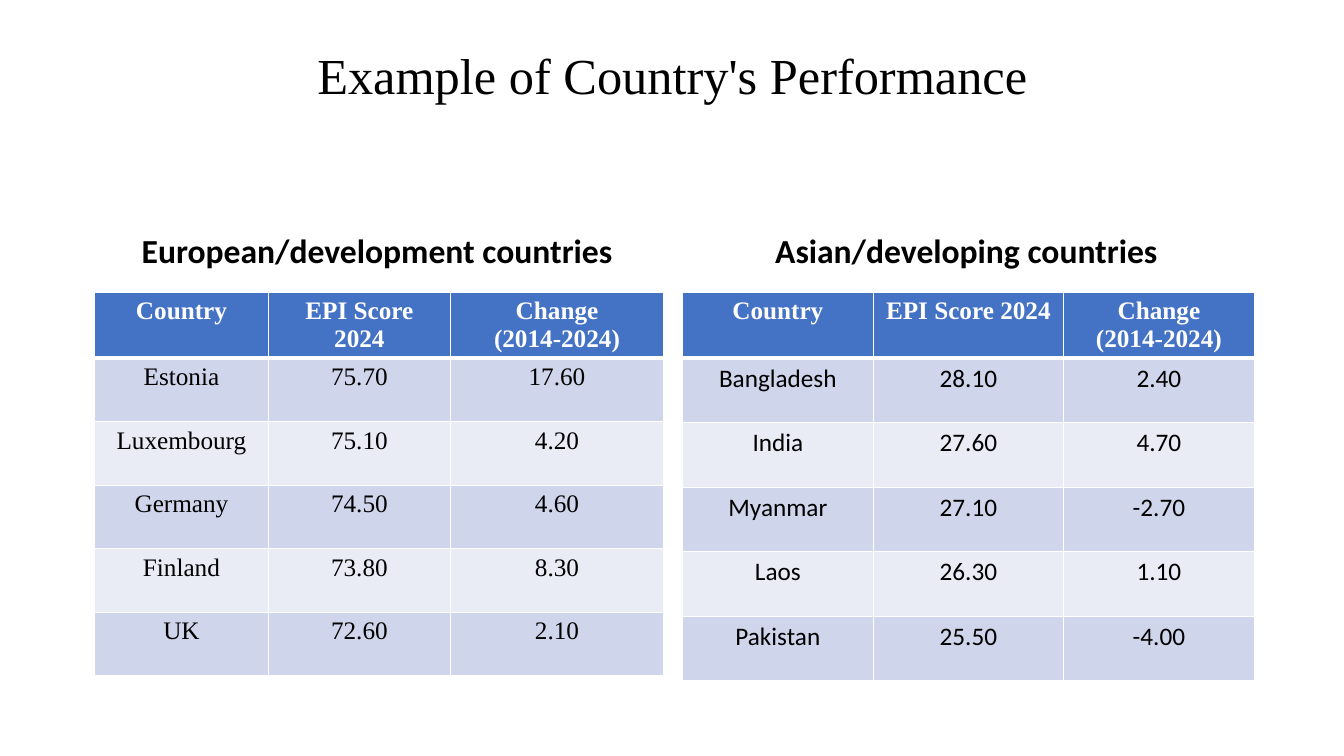
from lxml.etree import SubElement
from pptx import Presentation
from pptx.dml.color import RGBColor
from pptx.enum.text import MSO_ANCHOR, MSO_AUTO_SIZE, PP_ALIGN
from pptx.oxml.ns import qn
from pptx.util import Inches, Pt

BLACK = RGBColor(0x00, 0x00, 0x00)
WHITE = RGBColor(0xFF, 0xFF, 0xFF)
HEADER_BLUE = RGBColor(0x44, 0x72, 0xC4)
BAND_DARK = RGBColor(0xCF, 0xD5, 0xEA)
BAND_LIGHT = RGBColor(0xE9, 0xEB, 0xF5)

SERIF, SANS = "Times New Roman", "Calibri"
HEADERS = ["Country", "EPI Score 2024", "Change\n(2014-2024)"]

EUROPE = [
    ["Estonia", "75.70", "17.60"],
    ["Luxembourg", "75.10", "4.20"],
    ["Germany", "74.50", "4.60"],
    ["Finland", "73.80", "8.30"],
    ["UK", "72.60", "2.10"],
]
ASIA = [
    ["Bangladesh", "28.10", "2.40"],
    ["India", "27.60", "4.70"],
    ["Myanmar", "27.10", "-2.70"],
    ["Laos", "26.30", "1.10"],
    ["Pakistan", "25.50", "-4.00"],
]


class SlideBuilder:
    """Holds the text styles and the current slide."""

    title_font = {"name": SERIF, "size": Pt(36), "bold": False}
    heading_font = {"name": SANS, "size": Pt(24), "bold": True}
    header_font = {"name": SERIF, "size": Pt(18), "bold": True}

    def __init__(self, prs, layout):
        self.slide = prs.slides.add_slide(prs.slide_layouts[layout])
        self.holders = {sp.placeholder_format.idx: sp
                        for sp in self.slide.placeholders}

    def set_text(self, tf, text, font, color, spacing=1.0):
        tf.text = text
        for p in tf.paragraphs:
            p.alignment = PP_ALIGN.CENTER
            p.line_spacing = spacing
            p.space_before = Pt(0)
            for r in p.runs:
                for name, value in font.items():
                    setattr(r.font, name, value)
                r.font.color.rgb = color

    def placeholder(self, idx, text, box, font, anchor):
        sp = self.holders[idx]
        sp.left, sp.top, sp.width, sp.height = map(Inches, box)
        tf = sp.text_frame
        tf.word_wrap = True
        tf.auto_size = MSO_AUTO_SIZE.NONE
        tf.vertical_anchor = anchor
        self.set_text(tf, text, font, BLACK, 0.9)

    def borders(self, cell, top, bottom):
        tcPr = cell._tc.get_or_add_tcPr()
        for side, points in (("L", 1), ("R", 1), ("T", top), ("B", bottom)):
            ln = SubElement(tcPr, qn(f"a:ln{side}"), w=str(Pt(points)))
            fill = SubElement(ln, qn("a:solidFill"))
            SubElement(fill, qn("a:srgbClr"), val=str(WHITE))

    def table(self, left, top, widths, row_height, rows, body_name):
        rows = [HEADERS] + rows
        body_font = {"name": body_name, "size": Pt(18), "bold": False}
        table = self.slide.shapes.add_table(
            len(rows), len(widths), Inches(left), Inches(top),
            Inches(sum(widths)), Inches(row_height * len(rows))).table
        for column, width in zip(table.columns, widths):
            column.width = Inches(width)
        for i, values in enumerate(rows):
            table.rows[i].height = Inches(row_height)
            if i == 0:
                fill, font, color = HEADER_BLUE, self.header_font, WHITE
            else:
                fill = BAND_DARK if i % 2 else BAND_LIGHT
                font, color = body_font, BLACK
            for j, value in enumerate(values):
                cell = table.cell(i, j)
                self.set_text(cell.text_frame, value, font, color)
                self.borders(cell, 3 if i == 1 else 1, 3 if i == 0 else 1)
                cell.fill.solid()
                cell.fill.fore_color.rgb = fill

    def remove_empty(self):
        for sp in self.holders.values():
            if not sp.text_frame.text:
                sp._element.getparent().remove(sp._element)


def main():
    prs = Presentation()
    prs.slide_width, prs.slide_height = Inches(13.33), Inches(7.5)
    s = SlideBuilder(prs, 4)

    # Title
    s.placeholder(0, "Example of Country's Performance",
                  (0.92, 0.4, 11.5, 0.76), s.title_font, MSO_ANCHOR.MIDDLE)

    # European countries
    s.placeholder(1, "European/development countries",
                  (0.92, 1.84, 5.64, 0.9), s.heading_font, MSO_ANCHOR.BOTTOM)
    s.table(0.94, 2.9, [1.72, 1.81, 2.11], 0.63, EUROPE, SERIF)

    # Asian countries
    s.placeholder(3, "Asian/developing countries",
                  (6.75, 1.84, 5.67, 0.9), s.heading_font, MSO_ANCHOR.BOTTOM)
    s.table(6.77, 2.9, [1.89] * 3, 0.64, ASIA, SANS)

    s.remove_empty()
    prs.save("out.pptx")


if __name__ == "__main__":
    main()
